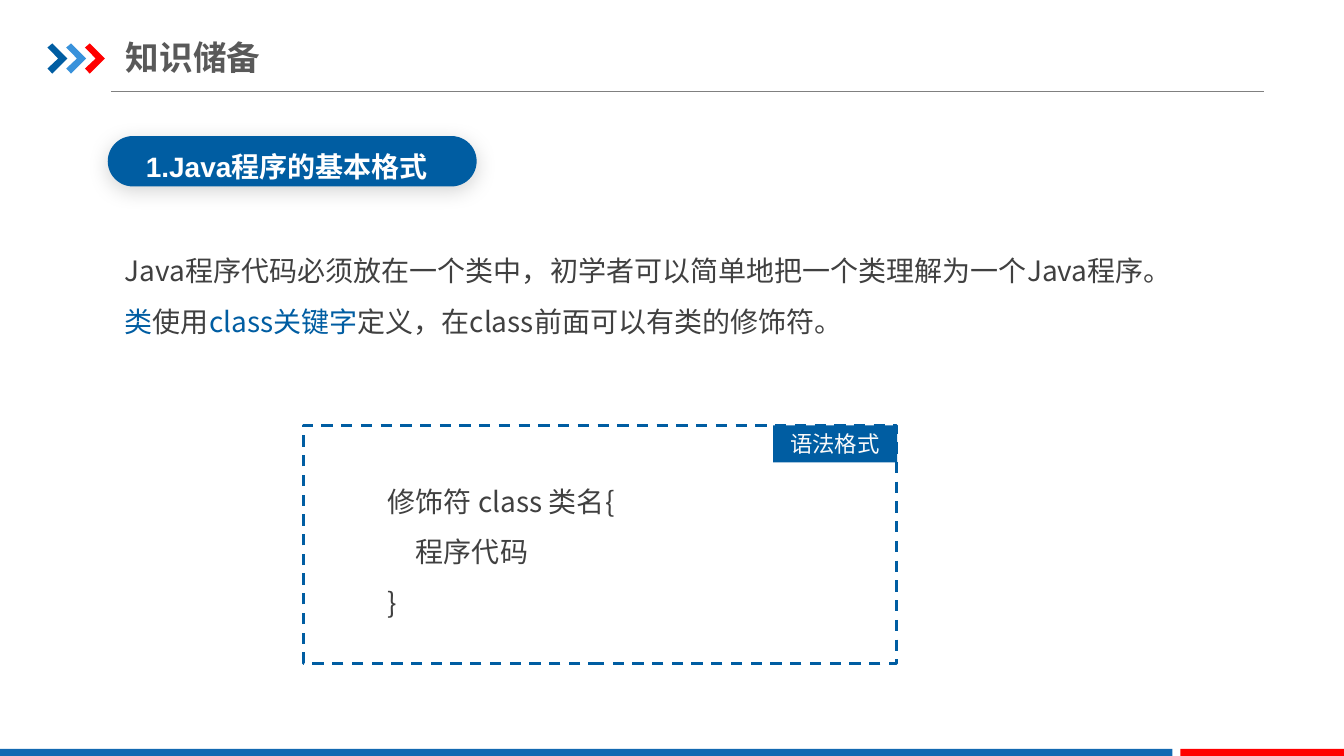
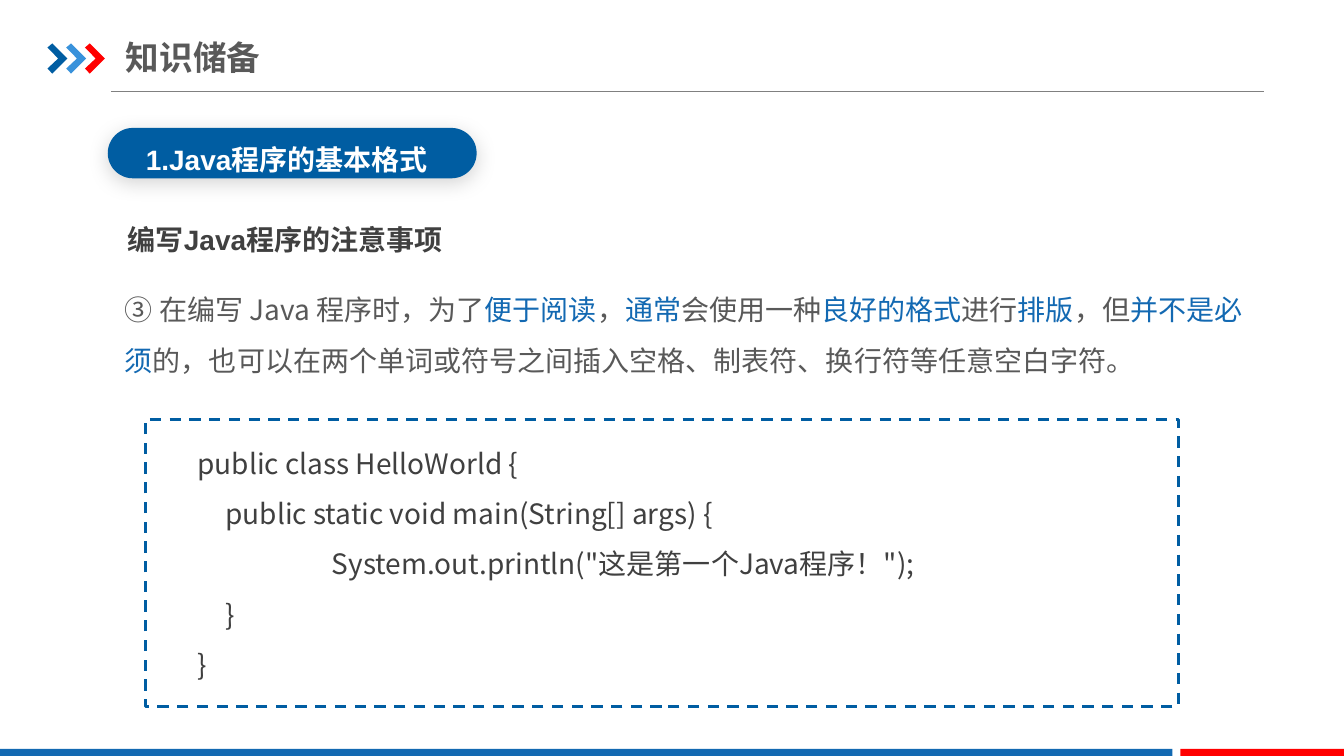
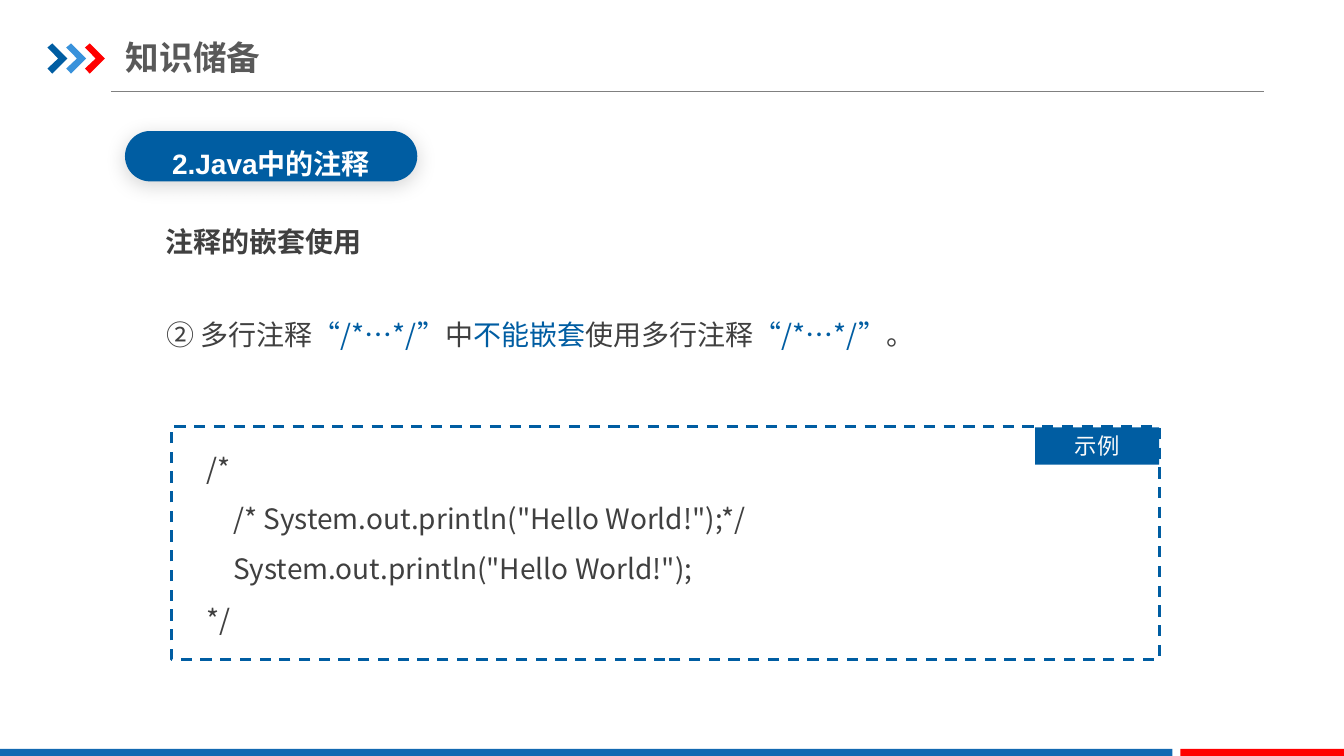
"""Build three lesson slides on Java program format and comments."""
from dataclasses import dataclass
from typing import NamedTuple, Optional

from lxml.etree import SubElement
from pptx import Presentation
from pptx.dml.color import RGBColor
from pptx.enum.dml import MSO_LINE
from pptx.enum.shapes import MSO_CONNECTOR, MSO_SHAPE
from pptx.enum.text import MSO_ANCHOR as ANCHOR, PP_ALIGN as ALIGN
from pptx.oxml.ns import qn
from pptx.util import Pt

BLUE, BAND, SKY, RED = "005DA2", "1369B2", "3992DB", "FF0000"
DARK, GREY, RULE = "404040", "595959", "808080"
WHITE, PALE = "FFFFFF", "FAFAFA"
CJK, LATIN = "Noto Sans CJK SC", "Arial"
CHEVRON = ((0, 3), (3.5, 0), (14.3, 10.8), (3.5, 21.6), (0, 18), (7.7, 10.8))


class Box(NamedTuple):
    left: float
    top: float
    width: float
    height: float


class Line(NamedTuple):
    texts: tuple[str, ...]
    indent: float = 0


@dataclass
class Block:
    box: Box
    lines: list[Line]


@dataclass
class Lesson:
    pill: Box
    topic: Block
    body: Block
    frame: Box
    code: Block
    body_color: str = DARK
    accent: str = BLUE
    anchor: ANCHOR = ANCHOR.TOP
    heading: Optional[Block] = None
    tag: Optional[Block] = None


def rgb(value):
    """Turn a hex string into a colour."""
    return RGBColor.from_string(value)


def points(box):
    """Turn a box into four lengths."""
    return [Pt(v) for v in box]


def write(sp, lines, *, size=20, font=CJK, color=DARK, accent=BLUE, bold=False,
          align=ALIGN.LEFT, spacing=1.0, anchor=ANCHOR.TOP, insets=None):
    """Write lines into a shape; every second text of a line is accented."""
    tf = sp.text_frame
    tf.word_wrap = True
    tf.vertical_anchor = anchor
    if insets:
        tf.margin_left, tf.margin_top, tf.margin_right, tf.margin_bottom = points(insets)
    for i, line in enumerate(lines):
        p = tf.add_paragraph() if i else tf.paragraphs[0]
        p.alignment, p.line_spacing = align, spacing
        if line.indent:
            p._p.get_or_add_pPr().set("marL", str(Pt(line.indent)))
        for j, text in enumerate(line.texts):
            r = p.add_run()
            r.text = text
            r.font.size, r.font.name, r.font.bold = Pt(size), font, bold
            r.font.color.rgb = rgb(accent if j % 2 else color)
            SubElement(r._r.get_or_add_rPr(), qn("a:ea")).set("typeface", CJK)


def add_text(s, block: Block, **style):
    """Add a text box."""
    write(s.shapes.add_textbox(*points(block.box)), block.lines, **style)


def paint(sp, fill):
    """Give a shape a plain fill without line or shadow."""
    sp.shadow.inherit = False
    sp.fill.solid()
    sp.fill.fore_color.rgb = rgb(fill)
    sp.line.fill.background()


def add_block(s, box: Box, fill: str, kind=MSO_SHAPE.RECTANGLE):
    """Add a filled preset shape."""
    sp = s.shapes.add_shape(kind, *points(box))
    paint(sp, fill)
    return sp


def add_pill(s, box: Box):
    """Add a rounded bar with a soft shadow below."""
    sp = add_block(s, box, BLUE, MSO_SHAPE.ROUNDED_RECTANGLE)
    sp.adjustments[0] = 0.5
    effects = sp._element.spPr.find(qn("a:effectLst"))
    shadow = SubElement(effects, qn("a:outerShdw"), blurRad=str(Pt(15)),
                        dist=str(Pt(3)), dir="5400000", algn="t", rotWithShape="0")
    color = SubElement(shadow, qn("a:srgbClr"), val="000000")
    SubElement(color, qn("a:alpha"), val="17000")


def add_frame(s, box: Box):
    """Add the dashed frame round the code."""
    sp = s.shapes.add_shape(MSO_SHAPE.RECTANGLE, *points(box))
    sp.shadow.inherit = False
    sp.fill.background()
    sp.line.color.rgb = rgb(BLUE)
    sp.line.width = Pt(2)
    sp.line.dash_style = MSO_LINE.DASH


def add_base(s):
    """Draw the rule, chevrons, footer bands and title of every slide."""
    rule = s.shapes.add_connector(MSO_CONNECTOR.STRAIGHT, Pt(79.2), Pt(65.5), Pt(903), Pt(65.5))
    rule.line.color.rgb = rgb(RULE)
    rule.line.width = Pt(0.75)
    SubElement(rule._element.spPr, qn("a:effectLst"))
    for i, color in enumerate((BLUE, SKY, RED)):
        corners = [(Pt(33.9 + 13.4 * i + x), Pt(31 + y)) for x, y in CHEVRON]
        builder = s.shapes.build_freeform(*corners[0])
        builder.add_line_segments(corners[1:], close=True)
        paint(builder.convert_to_shape(), color)
    add_block(s, Box(0, 534.9, 837.4, 5.1), BAND)
    add_block(s, Box(843.1, 534.9, 116.9, 5.1), RED)
    add_text(s, Block(Box(90, 20.9, 306.7, 39.6), [Line(("知识储备",))]), size=24,
             color=GREY, bold=True, anchor=ANCHOR.MIDDLE, insets=(0, 5, 0, 5))


def add_lesson(prs, lesson: Lesson):
    """Add one slide."""
    s = prs.slides.add_slide(prs.slide_layouts[6])
    add_base(s)
    add_text(s, lesson.body, color=lesson.body_color, accent=lesson.accent,
             spacing=1.5, anchor=lesson.anchor)
    add_pill(s, lesson.pill)
    add_text(s, lesson.topic, font=LATIN, color=WHITE, bold=True,
             align=ALIGN.CENTER, spacing=1.35)
    if lesson.heading:
        add_text(s, lesson.heading, font=LATIN, bold=True)
    add_frame(s, lesson.frame)
    add_text(s, lesson.code, spacing=1.5)
    if lesson.tag:
        write(add_block(s, lesson.tag.box, BLUE), lesson.tag.lines, size=16, color=PALE,
              align=ALIGN.CENTER, anchor=ANCHOR.MIDDLE)


FORMAT_TOPIC = [Line(("1.Java程序的基本格式",))]
LESSONS = [
    Lesson(
        pill=Box(77, 97.2, 263.5, 36),
        topic=Block(Box(70.6, 95, 268.6, 39.6), FORMAT_TOPIC),
        body=Block(Box(82.1, 165.6, 743, 79.9), [Line((
            "Java程序代码必须放在一个类中，初学者可以简单地把一个类理解为一个Java程序。",
            "类", "使用", "class关键字", "定义，在class前面可以有类的修饰符。"))]),
        frame=Box(216.7, 303.8, 423.4, 169.9),
        code=Block(Box(270, 330.5, 446.4, 115.9), [
            Line(("修饰符 class 类名{",)), Line(("程序代码",), 20), Line(("}",))]),
        tag=Block(Box(552.2, 303.8, 88.6, 26.6), [Line(("语法格式",))]),
    ),
    Lesson(
        pill=Box(77, 91.4, 263.5, 36),
        topic=Block(Box(70.6, 89.6, 268.6, 39.6), FORMAT_TOPIC),
        heading=Block(Box(84.2, 155.5, 282.2, 31.7), [Line(("编写Java程序的注意事项",))]),
        body=Block(Box(82.1, 193.7, 819.4, 79.9), [Line((
            "③ 在编写 Java 程序时，为了", "便于阅读", "，", "通常", "会使用一种",
            "良好的格式", "进行", "排版", "，但", "并不是必须",
            "的，也可以在两个单词或符号之间插入空格、制表符、换行符等任意空白字符。"))]),
        body_color=GREY,
        accent=BAND,
        frame=Box(103.7, 299.5, 738, 205.2),
        code=Block(Box(133.9, 303.1, 571, 188.6), [
            Line(("public class HelloWorld {",)),
            Line(("public static void main(String[] args) {",), 20),
            Line(('System.out.println("这是第一个Java程序！");',), 96),
            Line(("}",), 20), Line(("}",))]),
    ),
    Lesson(
        pill=Box(89.3, 93.6, 208.8, 36),
        topic=Block(Box(105.8, 92.9, 175.7, 39.6), [Line(("2.Java中的注释",))]),
        heading=Block(Box(110.9, 157, 162.7, 31.7), [Line(("注释的嵌套使用",))]),
        body=Block(Box(111.6, 196.6, 781.9, 72.7), [Line((
            "② 多行注释", "“/*…*/”", "中", "不能嵌套", "使用多行注释", "“/*…*/”", "。"))]),
        anchor=ANCHOR.MIDDLE,
        frame=Box(122.4, 304.6, 705.6, 166.3),
        code=Block(Box(140.4, 306.7, 704.2, 152.6), [
            Line(("/*",)),
            Line(('/* System.out.println("Hello World!");*/',), 19),
            Line(('System.out.println("Hello World!");',), 19),
            Line(("*/",))]),
        tag=Block(Box(739.4, 305.3, 88.6, 26.6), [Line(("示例",))]),
    ),
]


def main():
    """Build and save the slides."""
    prs = Presentation()
    prs.slide_width, prs.slide_height = Pt(960), Pt(540)
    for lesson in LESSONS:
        add_lesson(prs, lesson)
    prs.save("out.pptx")


if __name__ == "__main__":
    main()
